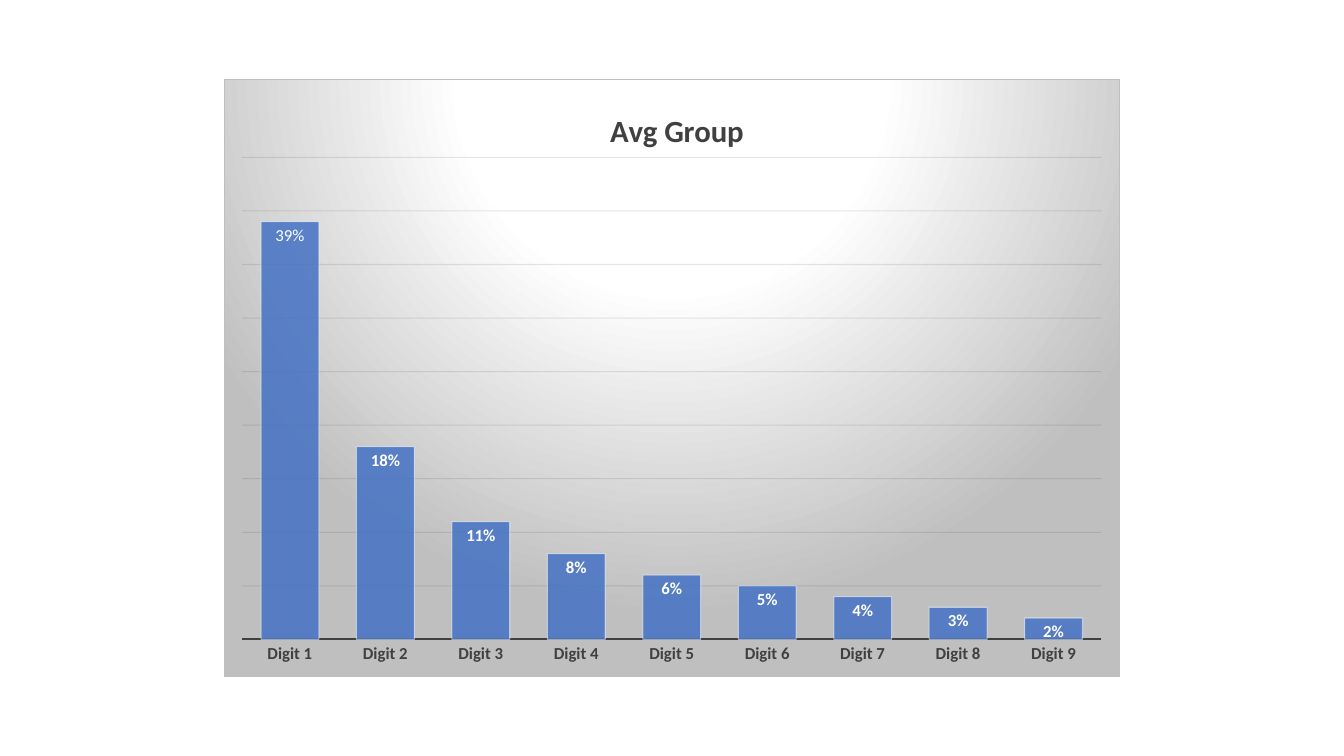
from lxml import etree
from pptx import Presentation
from pptx.chart.data import CategoryChartData
from pptx.dml.color import RGBColor
from pptx.enum.chart import XL_CHART_TYPE as ChartType
from pptx.enum.chart import XL_LABEL_POSITION as LabelPos
from pptx.enum.chart import XL_TICK_LABEL_POSITION as TickLabelPos
from pptx.enum.chart import XL_TICK_MARK as TickMark
from pptx.oxml import parse_xml
from pptx.oxml.ns import nsdecls, qn
from pptx.util import Cm, Pt

COLORS = {
    "bar": "4472C4",
    "text": "404040",
    "grid": "0D0D0D",
    "white": "FFFFFF",
    "grey": "BFBFBF",
}
SHARES = [0.39, 0.18, 0.11, 0.08, 0.06, 0.05, 0.04, 0.03, 0.02]


def style_font(font, size, color, bold=True):
    font.name = "Calibri"
    font.size = Pt(size)
    font.bold = bold
    font.color.rgb = RGBColor.from_string(COLORS[color])


def style_fill(fill, color, opacity=100):
    fill.solid()
    fill.fore_color.rgb = RGBColor.from_string(COLORS[color])
    for rgb in fill._xPr.iter(qn("a:srgbClr")):
        etree.SubElement(rgb, qn("a:alpha"), val=str(opacity * 1000))


def style_line(line, color, width, opacity=100):
    line.width = Pt(width)
    style_fill(line.fill, color, opacity)


def place(parent, index, **fractions):
    """Position a chart part by fractions of the chart area."""
    for old in parent.findall(qn("c:layout")):
        parent.remove(old)
    layout = etree.Element(qn("c:layout"))
    manual = etree.SubElement(layout, qn("c:manualLayout"))
    if "w" in fractions:
        etree.SubElement(manual, qn("c:layoutTarget"), val="inner")
    for side in ("x", "y"):
        etree.SubElement(manual, qn(f"c:{side}Mode"), val="edge")
    for side, fraction in fractions.items():
        etree.SubElement(manual, qn(f"c:{side}"), val=str(fraction))
    parent.insert(index, layout)


def add_background(chart):
    stops = "".join(
        f'<a:gs pos="{pos * 1000}"><a:srgbClr val="{COLORS[color]}"/></a:gs>'
        for pos, color in ((0, "white"), (39, "white"), (100, "grey"))
    )
    background = parse_xml(
        f'<c:spPr {nsdecls("c", "a")}>'
        f'<a:gradFill rotWithShape="1"><a:gsLst>{stops}</a:gsLst>'
        '<a:path path="circle">'
        '<a:fillToRect l="50000" t="-80000" r="50000" b="180000"/>'
        "</a:path></a:gradFill>"
        f'<a:ln w="{Pt(0.75)}"><a:solidFill>'
        f'<a:srgbClr val="{COLORS["grey"]}"/></a:solidFill></a:ln></c:spPr>'
    )
    chart._chartSpace.find(qn("c:chart")).addnext(background)


def add_title(chart, text):
    title = chart.chart_title
    title.text_frame.text = text
    style_font(title.text_frame.paragraphs[0].runs[0].font, 22, "text")
    title.include_in_layout = False
    place(title._element, 1, x=0.425, y=0.04)


def style_axes(chart):
    digits = chart.category_axis
    digits.major_tick_mark = digits.minor_tick_mark = TickMark.NONE
    digits.tick_label_position = TickLabelPos.NEXT_TO_AXIS
    style_font(digits.tick_labels.font, 12, "text")
    style_line(digits.format.line, "text", 1.5)

    shares = chart.value_axis
    shares.minimum_scale, shares.maximum_scale = 0, 0.45
    shares.major_unit = 0.05
    shares.tick_labels.number_format = "0%"
    shares.tick_labels.number_format_is_linked = False
    style_line(shares.major_gridlines.format.line, "grid", 0.75, 10)
    shares.visible = False


def style_bars(chart):
    plot = chart.plots[0]
    plot.gap_width = 65
    plot.vary_by_categories = False
    bars = plot.series[0]
    style_fill(bars.format.fill, "bar", 85)
    style_line(bars.format.line, "white", 0.75, 50)

    labels = bars.data_labels
    labels.show_value = True
    labels.number_format = "0%"
    labels.number_format_is_linked = False
    labels.position = LabelPos.INSIDE_END
    style_font(labels.font, 12, "white")

    # The first label is plain, the others are bold
    first = bars.points[0].data_label
    first.text_frame.text = "39%"
    style_font(first.text_frame.paragraphs[0].runs[0].font, 12, "white", False)
    first.position = LabelPos.INSIDE_END


def add_digit_chart(slide):
    data = CategoryChartData(number_format="0%")
    data.categories = [f"Digit {n}" for n in range(1, len(SHARES) + 1)]
    data.add_series("Series 1", SHARES)
    chart = slide.shapes.add_chart(
        ChartType.COLUMN_CLUSTERED,
        Cm(5.64), Cm(2), Cm(22.58), Cm(15.06), data,
    ).chart
    chart.has_legend = False
    chart.font.name = "Calibri"
    chart.font.size = Pt(10)
    add_background(chart)
    add_title(chart, "Avg Group")
    style_axes(chart)
    style_bars(chart)
    plot_area = chart._chartSpace.find(".//" + qn("c:plotArea"))
    place(plot_area, 0, x=0.02, y=0.13, w=0.96, h=0.808)


def main():
    deck = Presentation()
    deck.slide_width, deck.slide_height = Cm(33.87), Cm(19.05)
    slide = deck.slides.add_slide(deck.slide_layouts[6])
    add_digit_chart(slide)
    deck.save("out.pptx")


if __name__ == "__main__":
    main()
